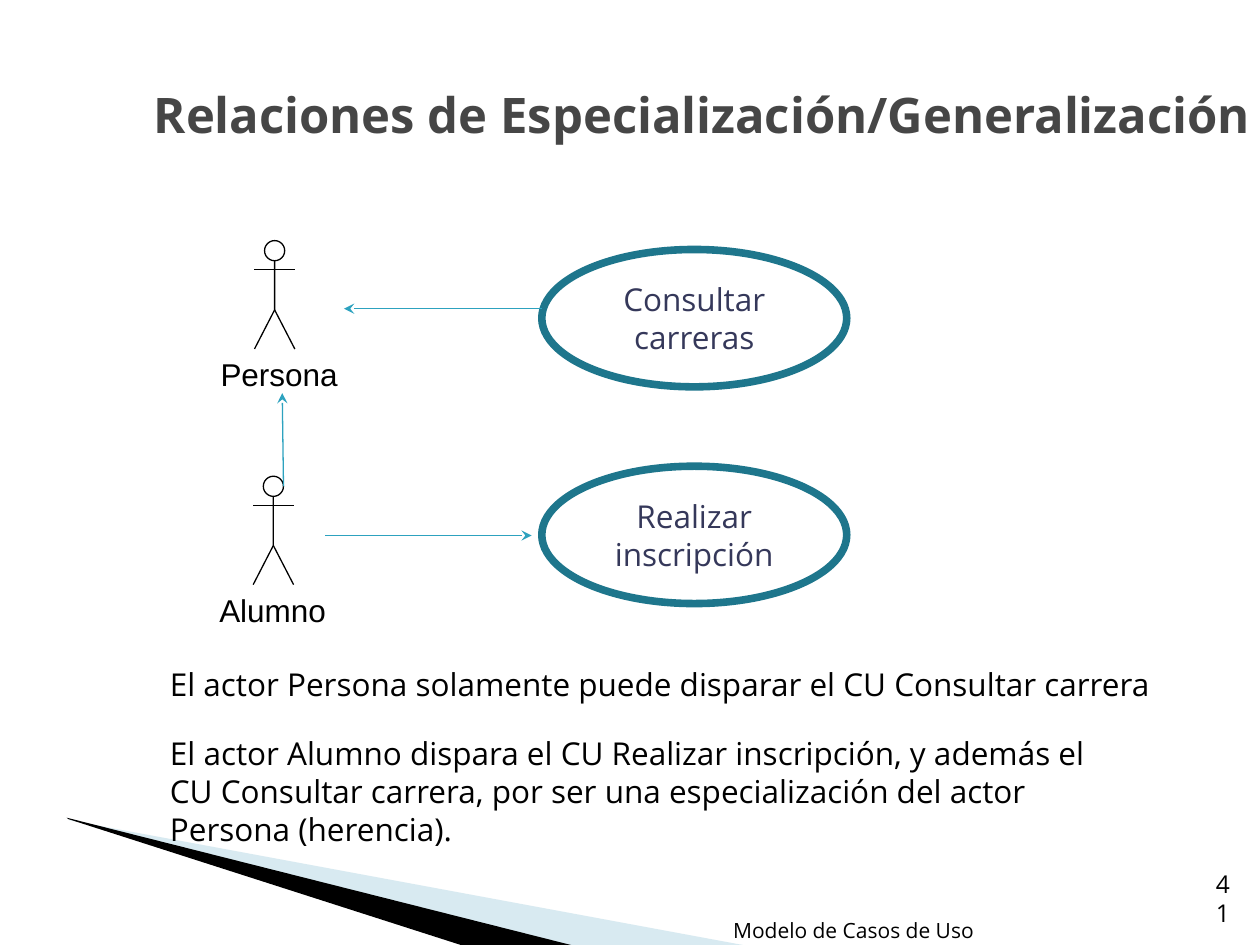
from dataclasses import dataclass
from typing import Optional

from lxml import etree
from pptx import Presentation
from pptx.dml.color import RGBColor
from pptx.enum import shapes as kinds, text as txt
from pptx.oxml.ns import qn
from pptx.util import Inches, Pt


@dataclass(frozen=True)
class Theme:
    black: str = "000000"
    white: str = "FFFFFF"
    title: str = "464646"
    use_case_text: str = "35385A"
    use_case_line: str = "1E768C"
    arrow: str = "2DA2BF"
    wedge: str = "9FCBDC"
    font: str = "Open Sans"
    actor_font: str = "Arial"
    title_size: float = 28
    body_size: float = 18
    number_size: float = 14
    footer_size: float = 12
    thin: float = 0.75
    thick: float = 4.33


THEME = Theme()


@dataclass(frozen=True)
class Wedge:
    points: tuple
    color: str
    opacity: Optional[int] = None


@dataclass(frozen=True)
class Actor:
    name: str
    center: float
    top: float


@dataclass(frozen=True)
class UseCase:
    name: str
    top: float


@dataclass(frozen=True)
class Arrow:
    start: tuple
    end: tuple


@dataclass(frozen=True)
class Note:
    text: str
    box: tuple
    size: float = THEME.body_size
    align: txt.PP_ALIGN = txt.PP_ALIGN.LEFT
    anchor: txt.MSO_ANCHOR = txt.MSO_ANCHOR.TOP


WEDGES = (
    Wedge(((0.55, 6.51), (5.95, 7.51), (4.56, 7.51), (0.55, 6.5)), THEME.wedge, 40),
    Wedge(((0.53, 6.49), (4.57, 7.51), (3.72, 7.52), (0.54, 6.5)), THEME.black),
)
ACTORS = (Actor("Persona", 2.18, 1.91), Actor("Alumno", 2.17, 3.78))
USE_CASES = (UseCase("Consultar carreras", 1.98), UseCase("Realizar inscripción", 3.7))
ARROWS = (
    Arrow((2.25, 3.86), (2.24, 3.12)),
    Arrow((4.3, 2.45), (2.73, 2.45)),
    Arrow((2.58, 4.25), (4.22, 4.25)),
)
NOTES = (
    Note("Modelo de Casos de Uso", (5.26, 7.13, 2.57, 0.4), THEME.footer_size,
         txt.PP_ALIGN.RIGHT, txt.MSO_ANCHOR.BOTTOM),
    Note("41", (9.46, 7.01, 0.4, 0.4), THEME.number_size,
         txt.PP_ALIGN.RIGHT, txt.MSO_ANCHOR.BOTTOM),
    Note("El actor Persona solamente puede disparar el CU Consultar carrera",
         (1.25, 5.23, 8.36, 0.4)),
    Note("El actor Alumno dispara el CU Realizar inscripción, y además el CU Consultar "
         "carrera, por ser una especialización del actor Persona (herencia).",
         (1.25, 5.78, 7.81, 1.01)),
)


def inches(*values: float) -> list:
    return [Inches(value) for value in values]


def write(shape, content: str, *, size: float = THEME.body_size, color: str = THEME.black,
          font: str = THEME.font, bold: bool = False, align=txt.PP_ALIGN.LEFT,
          anchor=txt.MSO_ANCHOR.TOP, margins: tuple = (0.1, 0.05)) -> None:
    frame = shape.text_frame
    frame.word_wrap = True
    frame.auto_size = txt.MSO_AUTO_SIZE.NONE
    frame.vertical_anchor = anchor
    frame.margin_left = frame.margin_right = Inches(margins[0])
    frame.margin_top = frame.margin_bottom = Inches(margins[1])
    paragraph = frame.paragraphs[0]
    paragraph.alignment = align
    run = paragraph.add_run()
    run.text = content
    run.font.size = Pt(size)
    run.font.name = font
    run.font.bold = bold
    run.font.color.rgb = RGBColor.from_string(color)


def style(shape, *, fill: Optional[str] = None, line: Optional[str] = None,
          width: float = THEME.thin) -> None:
    shape.shadow.inherit = False
    if fill:
        shape.fill.solid()
        shape.fill.fore_color.rgb = RGBColor.from_string(fill)
    else:
        shape.fill.background()
    if line:
        shape.line.color.rgb = RGBColor.from_string(line)
        shape.line.width = Pt(width)
    else:
        shape.line.fill.background()


def draw_path(shapes, points: tuple, close: bool):
    corners = [tuple(inches(*point)) for point in points]
    builder = shapes.build_freeform(*corners[0])
    builder.add_line_segments(corners[1:], close=close)
    return builder.convert_to_shape()


def draw_line(shapes, start: tuple, end: tuple, color: str, arrow: bool = False) -> None:
    connector = shapes.add_connector(kinds.MSO_CONNECTOR.STRAIGHT, *inches(*start, *end))
    connector.line.color.rgb = RGBColor.from_string(color)
    connector.line.width = Pt(THEME.thin)
    if arrow:
        etree.SubElement(connector.line._get_or_add_ln(), qn("a:tailEnd"), type="stealth")
    etree.SubElement(connector._element.spPr, qn("a:effectLst"))


def draw_wedge(shapes, wedge: Wedge) -> None:
    shape = draw_path(shapes, wedge.points, close=True)
    style(shape, fill=wedge.color)
    if wedge.opacity is not None:
        color = shape._element.spPr.find(f"{qn('a:solidFill')}/{qn('a:srgbClr')}")
        etree.SubElement(color, qn("a:alpha"), val=str(wedge.opacity * 1000))


def draw_actor(shapes, actor: Actor) -> None:
    """Draw a stick figure with its name below, as one group."""
    parts = shapes.add_group_shape().shapes
    head, reach = 0.16, 0.16
    x, top = actor.center, actor.top
    arms, hip, feet = top + 0.23, top + 0.55, top + 0.86
    oval = parts.add_shape(kinds.MSO_SHAPE.OVAL, *inches(x - head / 2, top, head, head))
    style(oval, fill=THEME.white, line=THEME.black)
    draw_line(parts, (x - reach, arms), (x + reach, arms), THEME.black)
    draw_line(parts, (x, hip), (x + reach, feet), THEME.black)
    body = draw_path(parts, ((x, top + head), (x, hip), (x - reach, feet)), close=False)
    style(body, line=THEME.black)
    label = parts.add_textbox(*inches(x - 0.43, top + 0.91, 0.99, 0.3))
    write(label, actor.name, font=THEME.actor_font, margins=(0, 0))


def draw_use_case(shapes, use_case: UseCase) -> None:
    oval = shapes.add_shape(kinds.MSO_SHAPE.OVAL, *inches(4.3, use_case.top, 2.42, 1.09))
    style(oval, line=THEME.use_case_line, width=THEME.thick)
    write(oval, use_case.name, color=THEME.use_case_text, align=txt.PP_ALIGN.CENTER,
          anchor=txt.MSO_ANCHOR.MIDDLE)


def main() -> None:
    presentation = Presentation()
    presentation.slide_width, presentation.slide_height = inches(10, 7.5)
    slide = presentation.slides.add_slide(presentation.slide_layouts[5])
    shapes = slide.shapes

    title = shapes.title
    title.left, title.top, title.width, title.height = inches(0.2, 0.28, 9.92, 1.25)
    write(title, "Relaciones de Especialización/Generalización ", size=THEME.title_size,
          color=THEME.title, bold=True, align=txt.PP_ALIGN.RIGHT,
          anchor=txt.MSO_ANCHOR.MIDDLE)

    for wedge in WEDGES:
        draw_wedge(shapes, wedge)
    for actor in ACTORS:
        draw_actor(shapes, actor)
    for use_case in USE_CASES:
        draw_use_case(shapes, use_case)
    for arrow in ARROWS:
        draw_line(shapes, arrow.start, arrow.end, THEME.arrow, arrow=True)
    for note in NOTES:
        write(shapes.add_textbox(*inches(*note.box)), note.text, size=note.size,
              align=note.align, anchor=note.anchor)
    presentation.save("out.pptx")


if __name__ == "__main__":
    main()
